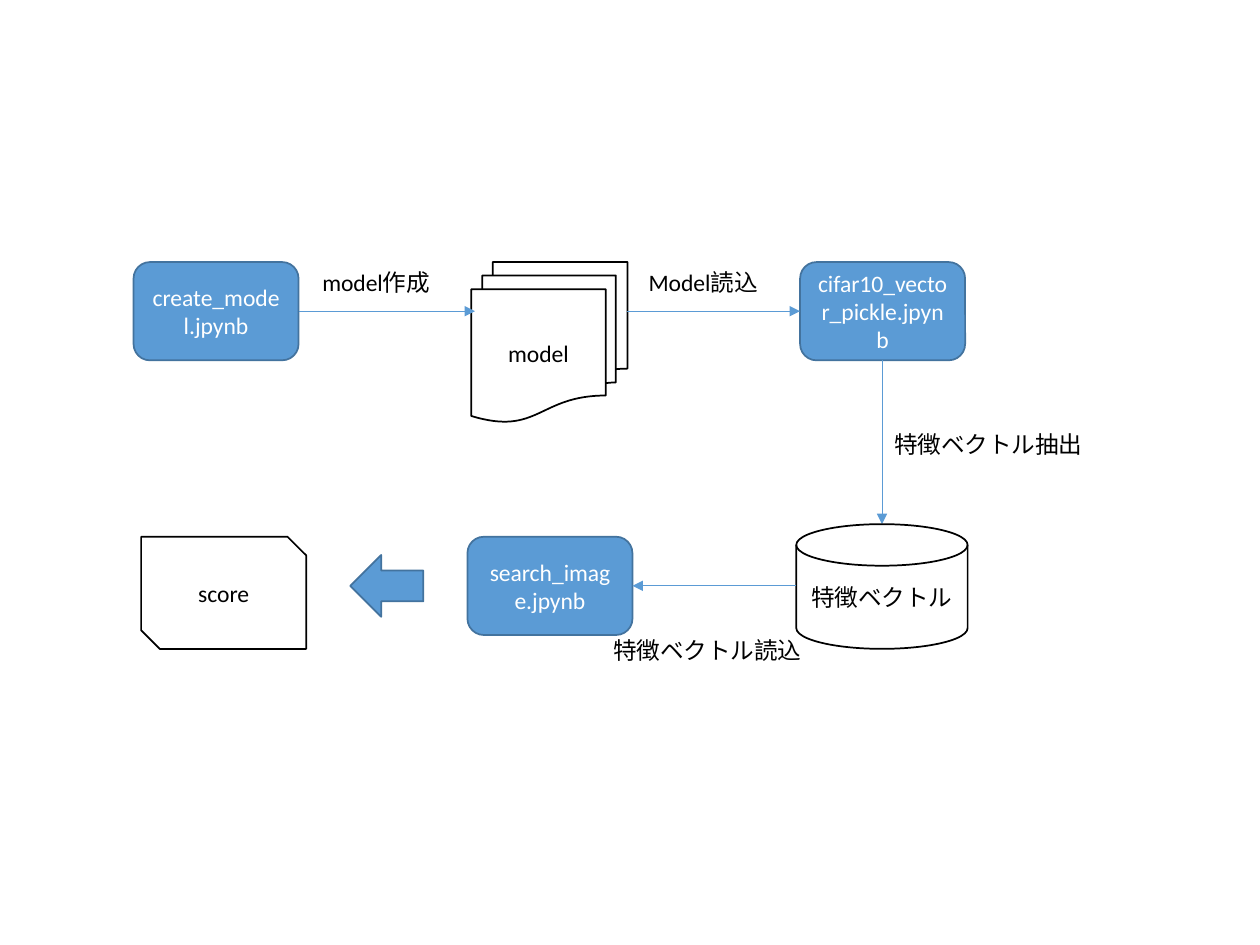
from dataclasses import dataclass

from lxml import etree
from pptx import Presentation
from pptx.dml.color import RGBColor
from pptx.enum.shapes import MSO_CONNECTOR, MSO_SHAPE
from pptx.enum.text import MSO_ANCHOR, PP_ALIGN
from pptx.oxml.ns import qn
from pptx.util import Inches, Pt

ROUNDED = MSO_SHAPE.ROUNDED_RECTANGLE
DOCUMENTS = MSO_SHAPE.FLOWCHART_MULTIDOCUMENT
DISK = MSO_SHAPE.FLOWCHART_MAGNETIC_DISK
SNIPPED = MSO_SHAPE.SNIP_2_DIAG_RECTANGLE
ARROW = MSO_SHAPE.RIGHT_ARROW
STRAIGHT = MSO_CONNECTOR.STRAIGHT
MIDDLE, TOP = MSO_ANCHOR.MIDDLE, MSO_ANCHOR.TOP
CENTER, LEFT = PP_ALIGN.CENTER, PP_ALIGN.LEFT


@dataclass(frozen=True)
class Theme:
    font: str = "Calibri"
    size: float = 13.5
    blue: str = "5B9BD5"
    blue_edge: str = "43739E"
    white: str = "FFFFFF"
    black: str = "000000"
    edge_width: float = 1
    flow_width: float = 0.5


THEME = Theme()
# Each style is fill, outline and text colour.
NOTEBOOK = (THEME.blue, THEME.blue_edge, THEME.white)
DATA = (THEME.white, THEME.black, THEME.black)
BOX_W, BOX_H = 1.31, 0.78
LABEL_H = 0.33


def write(shape, text, color, align, anchor):
    tf = shape.text_frame
    tf.word_wrap = True
    tf.vertical_anchor = anchor
    p = tf.paragraphs[0]
    p.alignment = align
    r = p.add_run()
    r.text = text
    formats = {"name": THEME.font, "size": Pt(THEME.size)}
    for name, value in formats.items():
        setattr(r.font, name, value)
    r.font.color.rgb = RGBColor.from_string(color)


def add_node(s, kind, box, style, text=None):
    fill, edge, ink = style
    sp = s.shapes.add_shape(kind, *map(Inches, box))
    sp.shadow.inherit = False
    sp.fill.solid()
    sp.fill.fore_color.rgb = RGBColor.from_string(fill)
    sp.line.color.rgb = RGBColor.from_string(edge)
    sp.line.width = Pt(THEME.edge_width)
    if text:
        write(sp, text, ink, CENTER, MIDDLE)
    return sp


def add_notebook(s, x, y, text):
    add_node(s, ROUNDED, (x, y, BOX_W, BOX_H), NOTEBOOK, text)


def add_label(s, x, y, w, text):
    box = s.shapes.add_textbox(*map(Inches, (x, y, w, LABEL_H)))
    write(box, text, THEME.black, LEFT, TOP)


def add_flow(s, start, end):
    """Draw a thin arrow from start to end."""
    line = s.shapes.add_connector(STRAIGHT, *map(Inches, start + end))
    line.line.color.rgb = RGBColor.from_string(THEME.blue)
    line.line.width = Pt(THEME.flow_width)
    ln = line.line._get_or_add_ln()
    etree.SubElement(ln, qn("a:tailEnd"), type="triangle")
    etree.SubElement(line._element.spPr, qn("a:effectLst"))


def add_model_row(s, x, y):
    """Place model creation and loading with its top left at x, y."""
    documents_x, pickle_x = x + 2.68, x + 5.29
    documents_w = 1.24
    flow_y = y + BOX_H / 2
    add_notebook(s, pickle_x, y, "cifar10_vector_pickle.jpynb")
    add_notebook(s, x, y, "create_model.jpynb")
    add_node(s, DOCUMENTS, (documents_x, y, documents_w, 1.27), DATA, "model")
    add_flow(s, (x + BOX_W, flow_y), (documents_x + 0.03, flow_y))
    add_label(s, x + 1.4, y, 1.16, "model作成")
    add_flow(s, (documents_x + documents_w, flow_y), (pickle_x, flow_y))
    add_label(s, x + 3.99, y, 1.37, "Model読込")


def add_extraction(s, x, top, bottom):
    """Place the downward step between the two rows."""
    add_flow(s, (x, top), (x, bottom))
    add_label(s, x, top + 0.5, 2.2, "特徴ベクトル抽出")


def add_search_row(s, x, y):
    """Place vector store, search and score with the score's corner at x, y."""
    search_x, disk_x = x + 2.59, x + 5.2
    flow_y = y + BOX_H / 2
    add_notebook(s, search_x, y, "search_image.jpynb")
    add_node(s, DISK, (disk_x, y - 0.1, 1.36, 0.99), DATA, "特徴ベクトル")
    add_flow(s, (disk_x, flow_y), (search_x + BOX_W, flow_y))
    add_label(s, search_x + 1.06, y + 0.74, 1.92, "特徴ベクトル読込")
    arrow_h = 0.49
    arrow = add_node(s, ARROW, (x + 1.66, flow_y - arrow_h / 2, 0.58, arrow_h), NOTEBOOK)
    arrow.rotation = 180
    add_node(s, SNIPPED, (x, y, BOX_W, 0.89), DATA, "score")


def main():
    prs = Presentation()
    prs.slide_width, prs.slide_height = Inches(10), Inches(7.5)
    s = prs.slides.add_slide(prs.slide_layouts[6])
    add_model_row(s, 1.06, 2.08)
    add_extraction(s, 7, 2.86, 4.16)
    add_search_row(s, 1.12, 4.26)
    prs.save("out.pptx")


if __name__ == "__main__":
    main()
